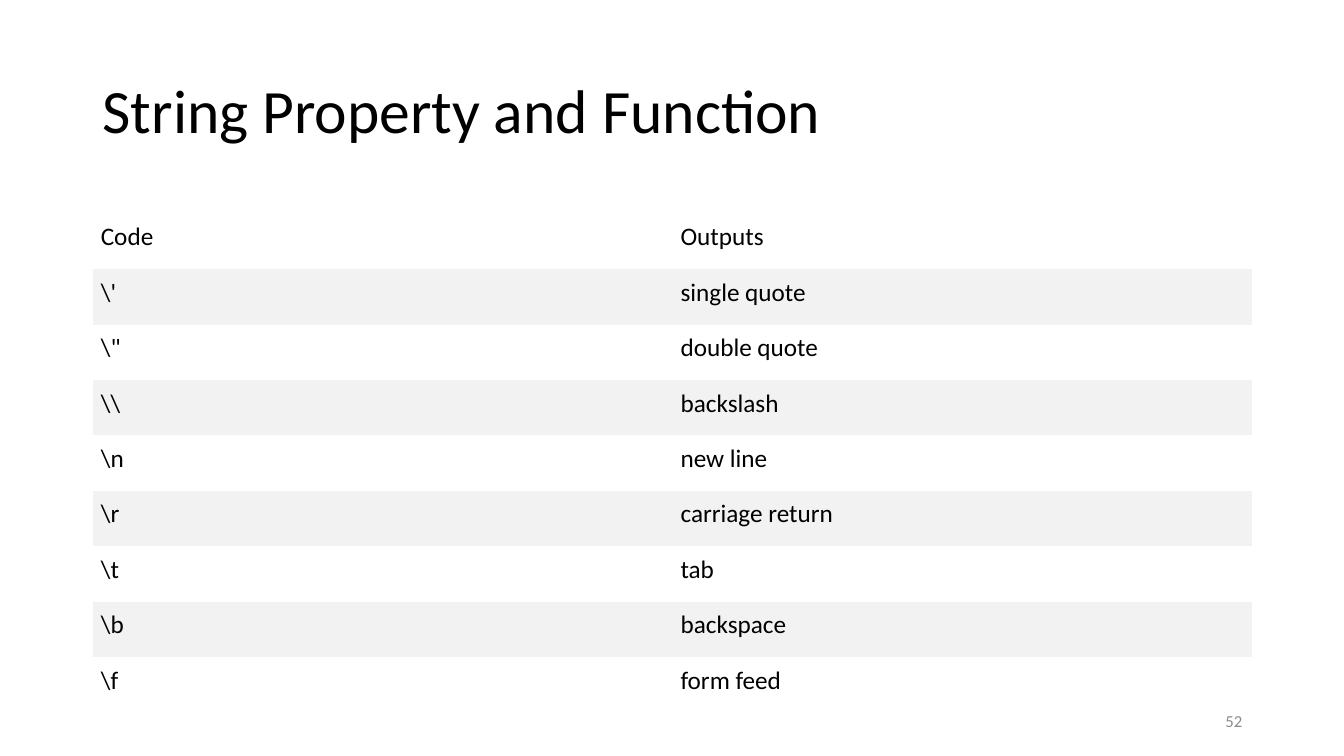
import pptx
import pptx.dml.color
import pptx.enum.text
import pptx.oxml.ns
import pptx.util

HEADING = "String Property and Function"
PAGE_NUMBER = "52"
ESCAPES = [
    ("Code", "Outputs"),
    (r"\'", "single quote"),
    (r'\"', "double quote"),
    (r"\\", "backslash"),
    (r"\n", "new line"),
    (r"\r", "carriage return"),
    (r"\t", "tab"),
    (r"\b", "backspace"),
    (r"\f", "form feed"),
]

BLACK = pptx.dml.color.RGBColor(0x00, 0x00, 0x00)
GREY = pptx.dml.color.RGBColor(0x8C, 0x8C, 0x8C)
BANDS = (
    pptx.dml.color.RGBColor(0xFF, 0xFF, 0xFF),
    pptx.dml.color.RGBColor(0xF2, 0xF2, 0xF2),
)
PLAIN_TABLE_STYLE = "{2D5ABB26-0587-4C30-8999-92F81FD0307C}"

Inches = pptx.util.Inches
Pt = pptx.util.Pt
ALIGN = pptx.enum.text.PP_ALIGN
MIDDLE = pptx.enum.text.MSO_ANCHOR.MIDDLE

WIDTH, HEIGHT = 13.33, 7.5
MARGIN = 0.92
CONTENT_WIDTH = 11.5
ROW_HEIGHT = 0.55
NUMBER_WIDTH = 3
CELL_MARGIN = Inches(0.08)

HEADING_FONT = {"name": "Calibri", "size": Pt(44)}
CELL_FONT = {"name": "Calibri", "size": Pt(18), "bold": False}
NUMBER_FONT = {"name": "Calibri", "size": Pt(12)}
CELL_FORMAT = {
    f"margin_{side}": CELL_MARGIN for side in ("left", "right", "top", "bottom")
}


def apply(target, values):
    for attribute, value in values.items():
        setattr(target, attribute, value)


def write(frame, text, font, color, alignment=ALIGN.LEFT, spacing=1.0):
    paragraph = frame.paragraphs[0]
    apply(paragraph, {"alignment": alignment, "line_spacing": spacing})
    run = paragraph.add_run()
    run.text = text
    apply(run.font, font)
    run.font.color.rgb = color


def add_text(slide, area, *content):
    frame = slide.shapes.add_textbox(*map(Inches, area)).text_frame
    apply(frame, {"word_wrap": True, "vertical_anchor": MIDDLE})
    write(frame, *content)


def add_escapes(slide):
    area = (MARGIN, 2.12, CONTENT_WIDTH, ROW_HEIGHT * len(ESCAPES))
    escapes = slide.shapes.add_table(
        len(ESCAPES), len(ESCAPES[0]), *map(Inches, area)
    ).table
    apply(escapes, {"first_row": False, "horz_banding": False})
    style = escapes._tbl.tblPr.find(pptx.oxml.ns.qn("a:tableStyleId"))
    style.text = PLAIN_TABLE_STYLE
    for row, entries in enumerate(ESCAPES):
        for column, entry in enumerate(entries):
            cell = escapes.cell(row, column)
            apply(cell, CELL_FORMAT)
            cell.fill.solid()
            cell.fill.fore_color.rgb = BANDS[row % 2]
            write(cell.text_frame, entry, CELL_FONT, BLACK)


def main():
    deck = pptx.Presentation()
    apply(deck, {"slide_width": Inches(WIDTH), "slide_height": Inches(HEIGHT)})
    slide = deck.slides.add_slide(deck.slide_layouts[6])
    add_text(slide, (MARGIN, 0.4, CONTENT_WIDTH, 1.45),
             HEADING, HEADING_FONT, BLACK, ALIGN.LEFT, 0.9)
    add_escapes(slide)
    number_left = MARGIN + CONTENT_WIDTH - NUMBER_WIDTH
    add_text(slide, (number_left, 6.95, NUMBER_WIDTH, 0.4),
             PAGE_NUMBER, NUMBER_FONT, GREY, ALIGN.RIGHT)
    deck.save("out.pptx")


if __name__ == "__main__":
    main()
